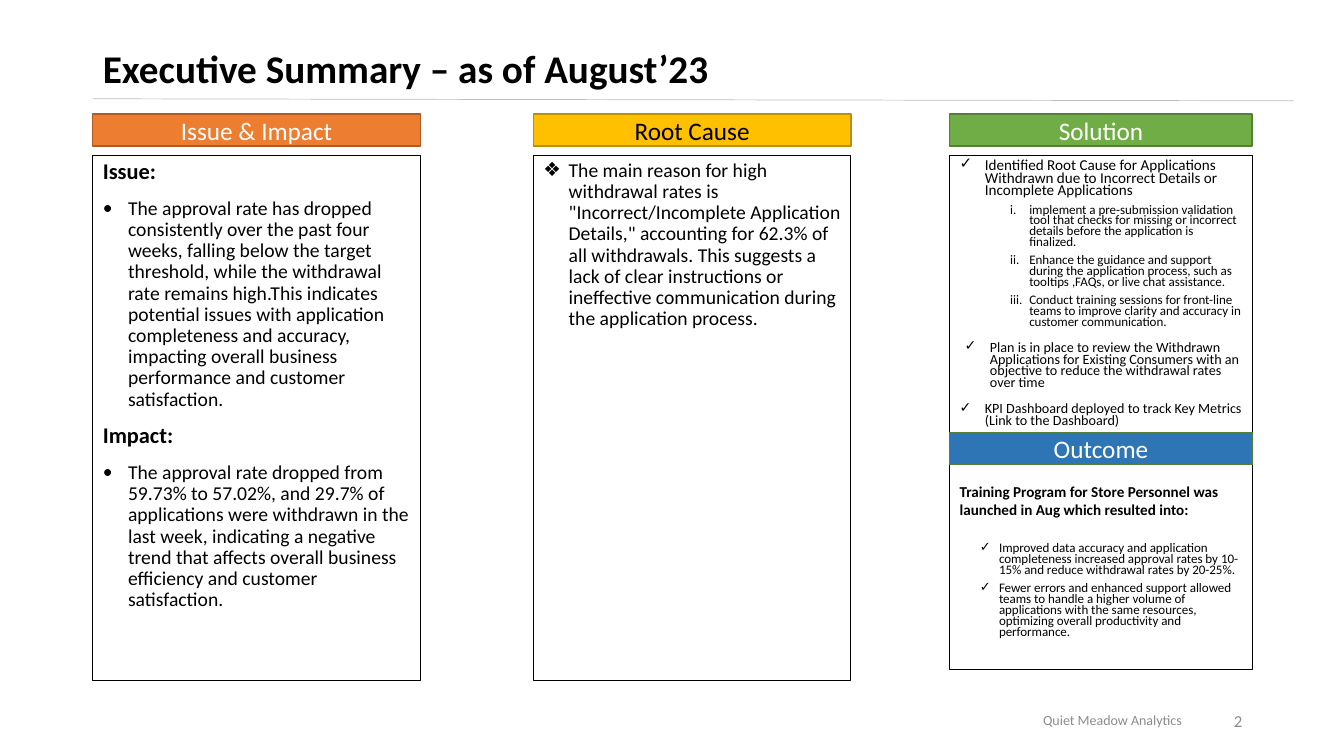
from lxml import etree
from pptx import Presentation
from pptx import util as u
from pptx.dml.color import RGBColor
from pptx.enum import shapes, text
from pptx.oxml.ns import qn

LEFT, MIDDLE, RIGHT = (0.92, 3.25), (5.29, 3.15), (9.42, 3)  # column left, width
HEADER_TOP, HEADER_HEIGHT, FRAME_TOP = 1.13, 0.32, 1.54

HEADING = dict(size=16, bold=True, before=10, spacing=0.9)
POINT = dict(size=14, before=10, spacing=0.9, margin=0.25, hang=0.25, bullet="•")
CAUSE = dict(POINT, bullet="❖")
ACTION = dict(size=10.8, before=10, spacing=0.7, margin=0.25, hang=0.25, bullet="✓")
PLAN = dict(ACTION, size=10.1, margin=0.3)
TRACKING = dict(ACTION, size=10.1)
STEP = dict(size=9.3, before=5, spacing=0.7, margin=0.69, hang=0.19,
            number="romanLcPeriod", level=1)
LAUNCH = dict(size=10.8, bold=True, before=39)
RESULT = dict(size=9.3, before=5, spacing=0.7, margin=0.39, hang=0.19, bullet="✓", level=1)
FIRST_RESULT = dict(RESULT, before=18)

ISSUE_AND_IMPACT = [
    ("Issue:", HEADING),
    ("The approval rate has dropped consistently over the past four weeks, falling below "
     "the target threshold, while the withdrawal rate remains high.This indicates potential "
     "issues with application completeness and accuracy, impacting overall business "
     "performance and customer satisfaction.", POINT),
    ("Impact:", HEADING),
    ("The approval rate dropped from 59.73% to 57.02%, and 29.7% of applications were "
     "withdrawn in the last week, indicating a negative trend that affects overall business "
     "efficiency and customer satisfaction.", POINT),
]
ROOT_CAUSE = [
    ("The main reason for high withdrawal rates is \"Incorrect/Incomplete Application "
     "Details,\" accounting for 62.3% of all withdrawals. This suggests a lack of clear "
     "instructions or ineffective communication during the application process.", CAUSE),
]
SOLUTION_AND_OUTCOME = [
    ("Identified Root Cause for Applications Withdrawn due to Incorrect Details or "
     "Incomplete Applications", ACTION),
    ("implement a pre-submission validation tool that checks for missing or incorrect "
     "details before the application is finalized.", STEP),
    ("Enhance the guidance and support during the application process, such as tooltips "
     ",FAQs, or live chat assistance.", STEP),
    ("Conduct training sessions for front-line teams to improve clarity and accuracy in "
     "customer communication.", STEP),
    ("Plan is in place to review the Withdrawn Applications for Existing Consumers with an "
     "objective to reduce the withdrawal rates over time", PLAN),
    ("KPI Dashboard deployed to track Key Metrics (Link to the Dashboard)", TRACKING),
    ("Training Program for Store Personnel was launched in Aug which resulted into:", LAUNCH),
    ("Improved data accuracy and application completeness increased approval rates by "
     "10-15% and reduce withdrawal rates by 20-25%.", FIRST_RESULT),
    ("Fewer errors and enhanced support allowed teams to handle a higher volume of "
     "applications with the same resources, optimizing overall productivity and "
     "performance.", RESULT),
]


def colour(value):
    return RGBColor.from_string(value)


def place(shape, left, top, width, height):
    box = dict(left=left, top=top, width=width, height=height)
    for name, value in box.items():
        setattr(shape, name, u.Inches(value))


def set_bullet(para, margin=0, hang=0, bullet=None, number=None):
    properties = para._p.get_or_add_pPr()
    properties.set("marL", str(u.Inches(margin)))
    properties.set("indent", str(-u.Inches(hang)))
    if bullet:
        etree.SubElement(properties, qn("a:buFont"), typeface="Calibri")
        etree.SubElement(properties, qn("a:buChar"), char=bullet)
    elif number:
        etree.SubElement(properties, qn("a:buAutoNum"), type=number)
    else:
        etree.SubElement(properties, qn("a:buNone"))


def write(para, words, size, ink="000000", bold=False, align=text.PP_ALIGN.LEFT,
          before=0, spacing=1.0, level=0, **bullet):
    layout = dict(alignment=align, space_before=u.Pt(before), space_after=u.Pt(0),
                  line_spacing=spacing, level=level)
    for name, value in layout.items():
        setattr(para, name, value)
    set_bullet(para, **bullet)
    span = para.add_run()
    span.text = words
    span.font.color.rgb = colour(ink)
    for name, value in dict(name="Calibri", size=u.Pt(size), bold=bold).items():
        setattr(span.font, name, value)


def fill_text(shape, items, anchor=text.MSO_ANCHOR.MIDDLE):
    """Write (words, format) pairs, one paragraph each."""
    frame = shape.text_frame
    settings = dict(word_wrap=True, auto_size=text.MSO_AUTO_SIZE.NONE, vertical_anchor=anchor)
    for name, value in settings.items():
        setattr(frame, name, value)
    for index, (words, style) in enumerate(items):
        para = frame.add_paragraph() if index else frame.paragraphs[0]
        write(para, words, **style)


def outline(shape, ink, width):
    shape.line.color.rgb = colour(ink)
    shape.line.width = u.Pt(width)


def add_rectangle(page, left, top, width, height):
    shape = page.shapes.add_shape(shapes.MSO_SHAPE.RECTANGLE,
                                  *map(u.Inches, (left, top, width, height)))
    shape.shadow.inherit = False
    return shape


def fill_frame(shape, column, height, items):
    left, width = column
    place(shape, left, FRAME_TOP, width, height)
    shape.fill.background()
    outline(shape, "000000", 0.75)
    fill_text(shape, items, text.MSO_ANCHOR.TOP)


def add_header(page, column, top, words, fill, border, ink="FFFFFF"):
    left, width = column
    shape = add_rectangle(page, left, top, width, HEADER_HEIGHT)
    shape.fill.solid()
    shape.fill.fore_color.rgb = colour(fill)
    outline(shape, border, 1)
    fill_text(shape, [(words, dict(size=18, ink=ink, align=text.PP_ALIGN.CENTER))])


def add_footer(page, words, size, left, top, width):
    box = page.shapes.add_textbox(*map(u.Inches, (left, top, width, 0.4)))
    fill_text(box, [(words, dict(size=size, ink="8C8C8C", align=text.PP_ALIGN.RIGHT))])


def add_rule(page, start, end):
    rule = page.shapes.add_connector(shapes.MSO_CONNECTOR.STRAIGHT,
                                     *map(u.Inches, start + end))
    outline(rule, "BFBFBF", 0.5)
    etree.SubElement(rule._element.spPr, qn("a:effectLst"))


def main():
    deck = Presentation()
    deck.slide_width, deck.slide_height = u.Inches(13.33), u.Inches(7.5)
    page = deck.slides.add_slide(deck.slide_layouts.get_by_name("Two Content"))
    title, issue, cause = page.placeholders

    place(title, 0.92, 0.4, 11.5, 0.6)
    fill_text(title, [("Executive Summary – as of August’23",
                       dict(size=28, bold=True, spacing=0.9))])
    fill_frame(issue, LEFT, 5.21, ISSUE_AND_IMPACT)
    fill_frame(cause, MIDDLE, 5.21, ROOT_CAUSE)
    solution = add_rectangle(page, RIGHT[0], FRAME_TOP, RIGHT[1], 5.1)
    fill_frame(solution, RIGHT, 5.1, SOLUTION_AND_OUTCOME)

    add_rule(page, (0.92, 0.98), (12.83, 1))
    add_header(page, LEFT, HEADER_TOP, "Issue & Impact", "ED7D31", "AF5C24")
    add_header(page, MIDDLE, HEADER_TOP, "Root Cause", "FFC000", "BD8E00", "000000")
    add_header(page, RIGHT, HEADER_TOP, "Solution", "70AD47", "538035")
    add_header(page, RIGHT, 4.29, "Outcome", "2E75B6", "538035")
    add_footer(page, "Quiet Meadow Analytics", 10, 7.32, 6.94, 4.5)
    add_footer(page, "2", 12, 9.42, 6.95, 3)
    deck.save("out.pptx")


if __name__ == "__main__":
    main()
